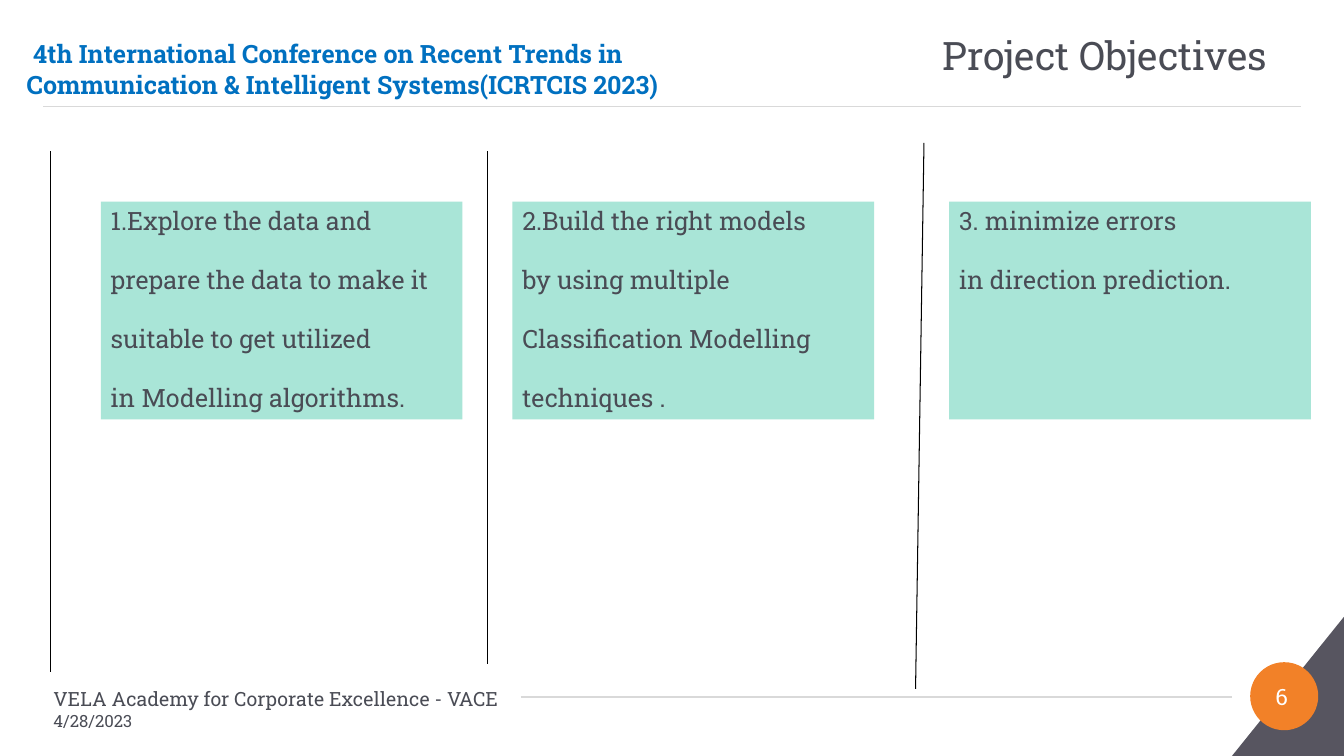
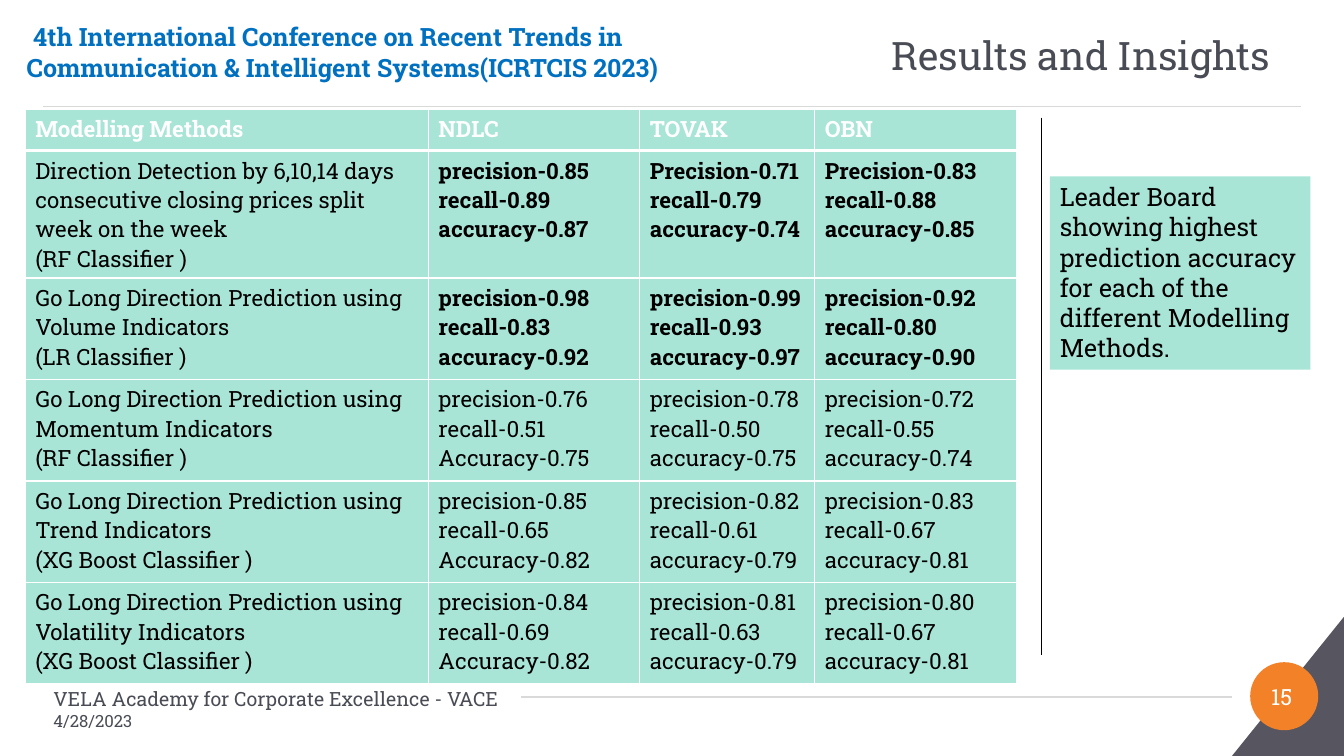
"""Builds two conference slides: project objectives and model results."""
from lxml import etree
from pptx import Presentation
from pptx import util as u
from pptx.dml.color import RGBColor
from pptx.enum import shapes, text
from pptx.oxml import ns

FONT = "Roboto Slab"
COLOURS = {
    "mint": "A9E5D7",
    "slate": "4A4C55",
    "corner": "575560",
    "orange": "F28128",
    "blue": "0070C0",
    "rule": "D9D9D9",
    "black": "000000",
    "white": "FFFFFF",
}
CONFERENCE = (
    "4th International Conference on Recent Trends in "
    "Communication & Intelligent Systems(ICRTCIS 2023)"
)
ACADEMY = "VELA Academy for Corporate Excellence - VACE"
DATE = "4/28/2023"

OBJECTIVES = [
    (72, "1.Explore the data and\nprepare the data to make it\n"
         "suitable to get utilized\nin Modelling algorithms."),
    (366, "2.Build the right models\nby using multiple\n"
          "Classification Modelling\ntechniques ."),
    (678, "3. minimize errors\nin direction prediction."),
]
DIVIDERS = [
    ((36, 108), (36, 480)),
    ((660, 102), (654, 492)),
    ((348, 108), (348, 474)),
]

COLUMN_WIDTHS = [288, 151, 125, 144]
ROW_HEIGHTS = [29.6, 91, 72.5, 72.5, 72.5, 72.5]
STRONG_ROWS = (1, 2)
RESULTS = [
    ["Modelling Methods", "NDLC", "TOVAK", "OBN"],
    ["Direction Detection by 6,10,14 days consecutive closing prices "
     "split week on the week\n(RF Classifier )",
     "precision-0.85\nrecall-0.89\naccuracy-0.87",
     "Precision-0.71\nrecall-0.79\naccuracy-0.74",
     "Precision-0.83\nrecall-0.88\naccuracy-0.85"],
    ["Go Long Direction Prediction using Volume Indicators\n(LR Classifier )",
     "precision-0.98\nrecall-0.83\naccuracy-0.92",
     "precision-0.99\nrecall-0.93\naccuracy-0.97",
     "precision-0.92\nrecall-0.80\naccuracy-0.90"],
    ["Go Long Direction Prediction using Momentum Indicators\n(RF Classifier )",
     "precision-0.76\nrecall-0.51\nAccuracy-0.75",
     "precision-0.78\nrecall-0.50\naccuracy-0.75",
     "precision-0.72\nrecall-0.55\naccuracy-0.74"],
    ["Go Long Direction Prediction using Trend Indicators\n(XG Boost Classifier )",
     "precision-0.85\nrecall-0.65\nAccuracy-0.82",
     "precision-0.82\nrecall-0.61\naccuracy-0.79",
     "precision-0.83\nrecall-0.67\naccuracy-0.81"],
    ["Go Long Direction Prediction using Volatility Indicators\n(XG Boost Classifier )",
     "precision-0.84\nrecall-0.69\nAccuracy-0.82",
     "precision-0.81\nrecall-0.63\naccuracy-0.79",
     "precision-0.80\nrecall-0.67\naccuracy-0.81"],
]


def colour(name):
    return RGBColor.from_string(COLOURS[name])


def points(*lengths):
    return [u.Pt(length) for length in lengths]


def write(frame, content, sizes=(18,), tint="slate", bold=False, align="LEFT",
          anchor="TOP", line=None, after=None, indent=0):
    frame.word_wrap = True
    frame.vertical_anchor = getattr(text.MSO_ANCHOR, anchor)
    for index, words in enumerate(content.split("\n")):
        paragraph = frame.add_paragraph() if index else frame.paragraphs[0]
        paragraph.alignment = getattr(text.PP_ALIGN, align)
        if line:
            paragraph.line_spacing = u.Pt(line)
        if after:
            paragraph.space_after = u.Pt(after)
        if indent:
            paragraph._p.get_or_add_pPr().set("indent", str(u.Pt(indent)))
        run = paragraph.add_run()
        run.text = words
        run.font.name = FONT
        run.font.size = u.Pt(sizes[min(index, len(sizes) - 1)])
        run.font.bold = bold
        run.font.color.rgb = colour(tint)


def add_text(slide, box, content, **style):
    shape = slide.shapes.add_textbox(*points(*box))
    write(shape.text_frame, content, **style)


def paint(shape, fill):
    shape.shadow.inherit = False
    shape.fill.solid()
    shape.fill.fore_color.rgb = colour(fill)
    shape.line.fill.background()


def add_panel(slide, box, content, **style):
    shape = slide.shapes.add_shape(shapes.MSO_SHAPE.RECTANGLE, *points(*box))
    paint(shape, "mint")
    write(shape.text_frame, content, **style)


def add_line(slide, start, end, tint="black", width=0.75):
    line = slide.shapes.add_connector(
        shapes.MSO_CONNECTOR.STRAIGHT, *points(*start, *end))
    line.line.color.rgb = colour(tint)
    line.line.width = u.Pt(width)
    etree.SubElement(line._element.spPr, ns.qn("a:effectLst"))


def add_frame(presentation, title, title_box, heading_top, number):
    slide = presentation.slides.add_slide(presentation.slide_layouts[6])
    add_line(slide, (31, 76.2), (929, 76.2), "rule", 1)
    add_line(slide, (372, 498), (880, 498), "rule", 1)
    builder = slide.shapes.build_freeform(*points(880, 540))
    builder.add_line_segments([points(960, 540), points(960, 440.6)])
    paint(builder.convert_to_shape(), "corner")
    badge = slide.shapes.add_shape(
        shapes.MSO_SHAPE.OVAL, *points(893, 473, 48.6, 48.6))
    paint(badge, "orange")
    add_text(slide, (892, 473, 46.8, 48.6), number, sizes=(16,), tint="white",
             align="CENTER", anchor="MIDDLE")
    add_text(slide, title_box, title, sizes=(28,), anchor="MIDDLE")
    add_text(slide, (31, 491.8, 354, 28.8), f"{ACADEMY}\n{DATE}",
             sizes=(14, 12), anchor="MIDDLE")
    add_text(slide, (12, heading_top, 480, 51), CONFERENCE, tint="blue",
             bold=True, indent=4.5)
    return slide


def border(cell, side, width):
    properties = cell._tc.get_or_add_tcPr()
    line = etree.Element(ns.qn(f"a:ln{side}"), w=str(u.Pt(width)))
    fill = etree.SubElement(line, ns.qn("a:solidFill"))
    etree.SubElement(fill, ns.qn("a:srgbClr"), val=COLOURS["white"])
    properties.insert("LRTB".index(side), line)


def add_results(slide):
    box = points(18, 78, sum(COLUMN_WIDTHS), sum(ROW_HEIGHTS))
    table = slide.shapes.add_table(len(RESULTS), len(COLUMN_WIDTHS), *box).table
    for column, width in zip(table.columns, COLUMN_WIDTHS):
        column.width = u.Pt(width)
    for row, (height, contents) in enumerate(zip(ROW_HEIGHTS, RESULTS)):
        table.rows[row].height = u.Pt(height)
        for column, content in enumerate(contents):
            cell = table.cell(row, column)
            cell.fill.solid()
            cell.fill.fore_color.rgb = colour("mint")
            for side in "LRTB":
                border(cell, side, 3 if (row, side) == (0, "B") else 1)
            write(cell.text_frame, content, sizes=(16,),
                  tint="black" if row else "white",
                  bold=row == 0 or (row in STRONG_ROWS and column > 0))


def add_objectives_slide(presentation):
    slide = add_frame(presentation, "Project Objectives",
                      (666, 12, 252, 54.8), 24, "6")
    for left, objective in OBJECTIVES:
        add_panel(slide, (left, 144, 258.4, 155.6), objective,
                  line=21, after=21)
    for start, end in DIVIDERS:
        add_line(slide, start, end)


def add_results_slide(presentation):
    slide = add_frame(presentation, "Results and Insights",
                      (630, 12, 300, 54.8), 12, "15")
    add_results(slide)
    add_panel(slide, (750, 126, 186, 138),
              "Leader Board showing highest prediction accuracy for each of "
              "the different Modelling Methods.", tint="black")
    add_line(slide, (744, 84), (744, 468))


def main():
    presentation = Presentation()
    presentation.slide_width, presentation.slide_height = points(960, 540)
    add_objectives_slide(presentation)
    add_results_slide(presentation)
    presentation.save("out.pptx")


if __name__ == "__main__":
    main()
